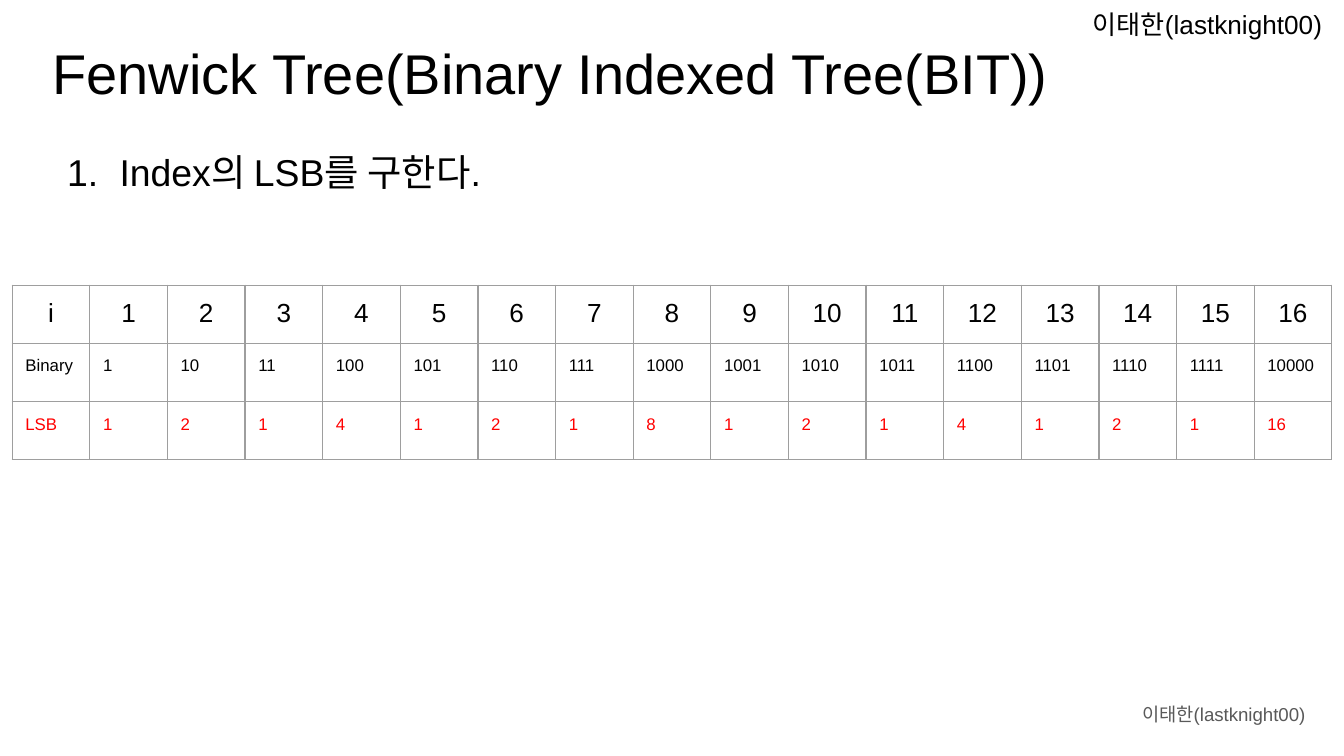
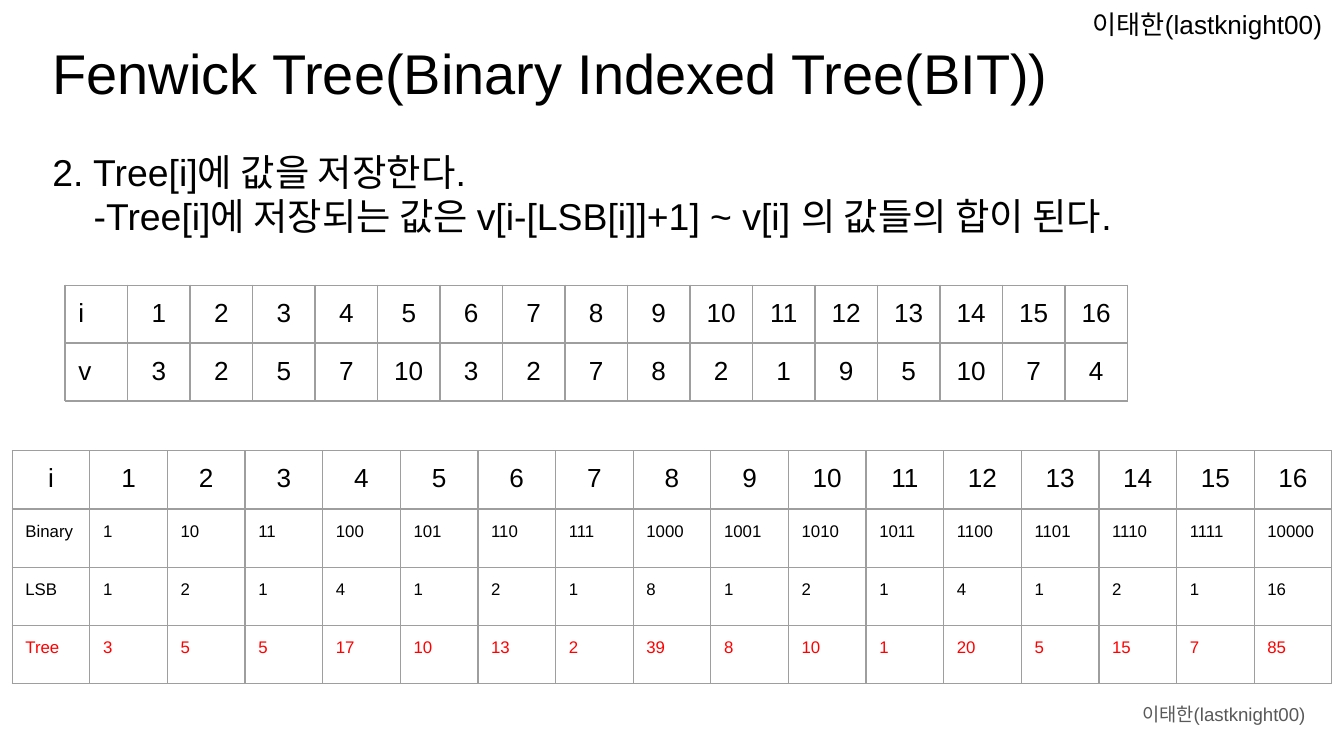
from lxml.etree import SubElement
from pptx import Presentation
from pptx.dml.color import RGBColor
from pptx.enum.text import MSO_ANCHOR as Anchor, PP_ALIGN as Align
from pptx.oxml.ns import qn
from pptx.util import Cm, Pt

COLOURS = {"text": "000000", "footer": "595959", "accent": "FF0000", "grid": "9E9E9E"}
AUTHOR = "이태한(lastknight00)"
TITLE = "Fenwick Tree(Binary Indexed Tree(BIT))"
MARGINS = {f"margin_{side}": Cm(0.25) for side in ("left", "right", "top", "bottom")}


def assign(target, values):
    for name, value in values.items():
        setattr(target, name, value)


class FenwickDeck:
    font = "Arial"

    def __init__(self):
        self.deck = Presentation()
        assign(self.deck, {"slide_width": Cm(25.4), "slide_height": Cm(14.29)})
        self.page = None

    def add_page(self, lines):
        self.page = self.deck.slides.add_slide(self.deck.slide_layouts[6])
        self.add_text(21.34, 12.95, 3.71, 1.09, [(AUTHOR, 10, {})], "footer", Anchor.MIDDLE)
        self.add_text(20.4, -0.1, 5, 0.89, [(AUTHOR, 14, {})])
        heading = (TITLE, 30, {"space_after": Pt(23)})
        return self.add_text(0.74, 0.48, 23.98, 2.79, [heading, *lines])

    def add_span(self, para, text, size, colour="text", **layout):
        assign(para, layout)
        span = para.add_run()
        span.text = text
        assign(span.font, {"name": self.font, "size": Pt(size)})
        span.font.color.rgb = RGBColor.from_string(COLOURS[colour])

    def add_text(self, left, top, width, height, lines, colour="text", anchor=Anchor.TOP):
        box = self.page.shapes.add_textbox(Cm(left), Cm(top), Cm(width), Cm(height))
        frame = box.text_frame
        assign(frame, {**MARGINS, "word_wrap": True, "vertical_anchor": anchor})
        for index, (text, size, layout) in enumerate(lines):
            para = frame.add_paragraph() if index else frame.paragraphs[0]
            self.add_span(para, text, size, colour, **layout)
        return frame

    def indent(self, para, left, hanging=0, numbering=None):
        props = para._p.get_or_add_pPr()
        props.set("marL", str(Cm(left)))
        props.set("indent", str(-Cm(hanging)))
        if numbering:
            SubElement(props, qn("a:buAutoNum"), type=numbering)

    def add_borders(self, cell):
        props = cell._tc.get_or_add_tcPr()
        for side in "LRTB":
            line = SubElement(props, qn(f"a:ln{side}"), w=str(Pt(0.75)))
            fill = SubElement(line, qn("a:solidFill"))
            SubElement(fill, qn("a:srgbClr"), val=COLOURS["grid"])

    def add_table(self, left, top, width, row_height, rows):
        columns = len(rows[0][0])
        frame = self.page.shapes.add_table(
            len(rows), columns, Cm(left), Cm(top), Cm(width), Cm(row_height * len(rows)))
        table = frame.table
        assign(table, {"first_row": False, "horz_banding": False})
        for column in table.columns:
            column.width = Cm(width / columns)
        for row, (values, size, colour, label_align, align) in zip(table.rows, rows):
            row.height = Cm(row_height)
            for index, (cell, value) in enumerate(zip(row.cells, values)):
                assign(cell, MARGINS)
                self.add_borders(cell)
                cell.fill.background()
                self.add_span(cell.text_frame.paragraphs[0], str(value), size, colour,
                              alignment=align if index else label_align)

    def save(self):
        self.deck.save("out.pptx")


def large(values, label_align=Align.CENTER):
    return values, 14, "text", label_align, Align.CENTER


def small(values, colour="text"):
    return values, 9, colour, Align.LEFT, Align.LEFT


def main():
    numbers = range(1, 17)
    values = [3, 2, 5, 7, 10, 3, 2, 7, 8, 2, 1, 9, 5, 10, 7, 4]
    lowest_bits = [i & -i for i in numbers]
    sums = [sum(values[i - bit:i]) for i, bit in zip(numbers, lowest_bits)]

    indexes = ["i", *numbers]
    binary = ["Binary", *(f"{i:b}" for i in numbers)]
    lsb = ["LSB", *lowest_bits]
    tree = ["Tree", *sums]
    wide = {"left": 0.23, "width": 24.94, "row_height": 1.1}

    fenwick = FenwickDeck()
    frame = fenwick.add_page([("Index의 LSB를 구한다.", 20, {})])
    fenwick.indent(frame.paragraphs[1], 1.27, 0.99, "arabicPeriod")
    fenwick.add_table(top=5.39, rows=[large(indexes), small(binary), small(lsb, "accent")], **wide)

    frame = fenwick.add_page([
        ("2. Tree[i]에 값을 저장한다.", 20, {}),
        ("-Tree[i]에 저장되는 값은 v[i-[LSB[i]]+1] ~ v[i] 의 값들의 합이 된다.", 20, {}),
    ])
    fenwick.indent(frame.paragraphs[2], 0.78)
    fenwick.add_table(top=8.52, rows=[
        large(indexes), small(binary), small(lsb), small(tree, "accent")], **wide)
    fenwick.add_table(1.23, 5.39, 20.09, 1.06, [
        large(indexes, Align.LEFT), large(["v", *values], Align.LEFT)])
    fenwick.save()


if __name__ == "__main__":
    main()
